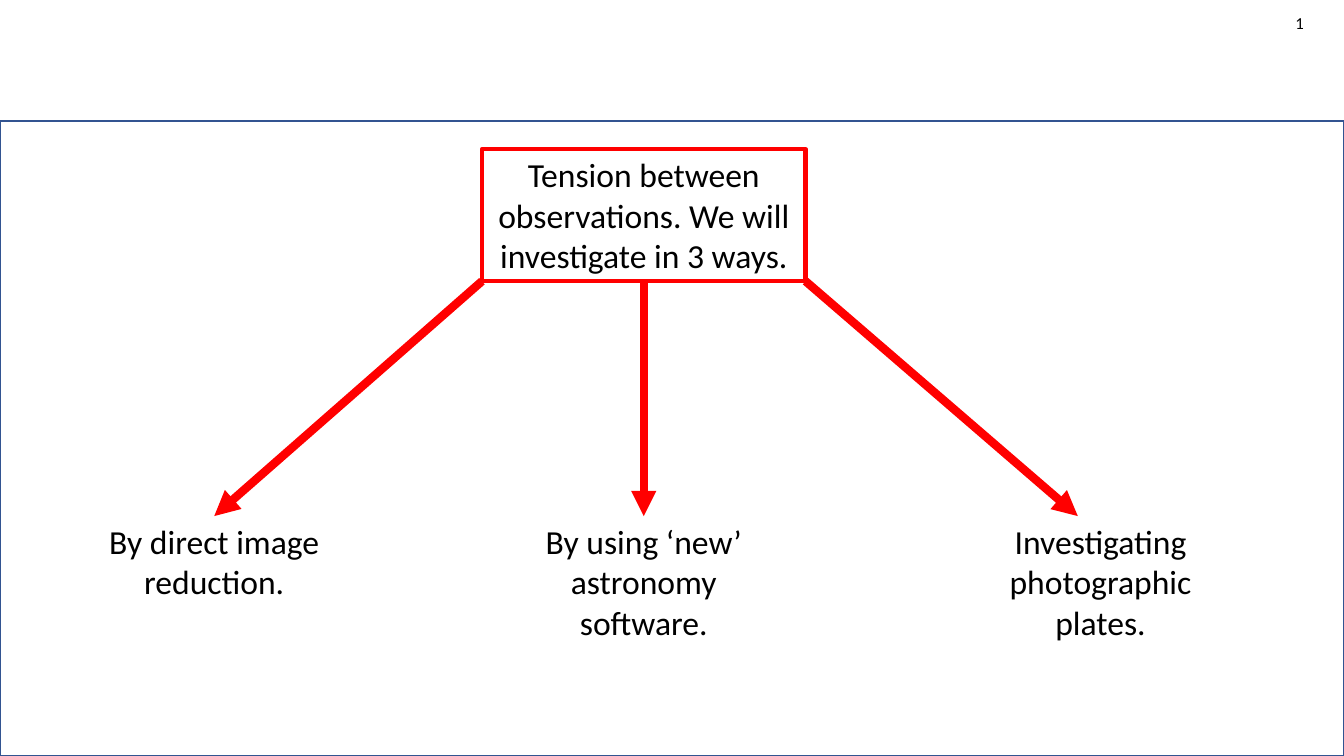
from dataclasses import dataclass

from lxml.etree import SubElement
from pptx import Presentation
from pptx.dml.color import RGBColor
from pptx.enum.shapes import MSO_CONNECTOR, MSO_SHAPE
from pptx.enum.text import MSO_ANCHOR, PP_ALIGN
from pptx.oxml.ns import qn
from pptx.util import Inches, Pt


@dataclass(frozen=True)
class Theme:
    font: str = "Calibri"
    body_size: int = 24
    number_size: int = 12
    text: RGBColor = RGBColor(0x00, 0x00, 0x00)
    paper: RGBColor = RGBColor(0xFF, 0xFF, 0xFF)
    frame: RGBColor = RGBColor(0x32, 0x54, 0x91)
    accent: RGBColor = RGBColor(0xFF, 0x00, 0x00)


THEME = Theme()
TOP, BOTTOM = 0, 2  # connection sites of a rectangle

# Each way of investigating: left edge, height and wording
WAYS = [
    (0.8, 0.91, "By direct image reduction."),
    (5.06, 1.31, "By using ‘new’ astronomy software."),
    (9.59, 1.31, "Investigating photographic plates."),
]
WAY_TOP, WAY_WIDTH = 5.12, 2.65


def write(box, text, size, align):
    frame = box.text_frame
    frame.word_wrap = True
    frame.vertical_anchor = MSO_ANCHOR.TOP
    frame.text = text
    para = frame.paragraphs[0]
    para.alignment = align
    for span in para.runs:
        span.font.name = THEME.font
        span.font.size = Pt(size)
        span.font.color.rgb = THEME.text


def add_text(page, left, top, width, height, text,
             size=THEME.body_size, align=PP_ALIGN.CENTER):
    box = page.shapes.add_textbox(
        Inches(left), Inches(top), Inches(width), Inches(height))
    write(box, text, size, align)
    return box


def add_rectangle(page, left, top, width, height, line, weight, fill=None):
    box = page.shapes.add_shape(
        MSO_SHAPE.RECTANGLE,
        Inches(left), Inches(top), Inches(width), Inches(height))
    box.shadow.inherit = False
    if fill is None:
        box.fill.background()
    else:
        box.fill.solid()
        box.fill.fore_color.rgb = fill
    box.line.color.rgb = line
    box.line.width = Pt(weight)
    return box


def add_arrow(page, start_x, start_y, end_x, end_y):
    arrow = page.shapes.add_connector(
        MSO_CONNECTOR.STRAIGHT, start_x, start_y, end_x, end_y)
    arrow.line.color.rgb = THEME.accent
    arrow.line.width = Pt(6)
    SubElement(arrow.line._get_or_add_ln(), qn("a:tailEnd"), type="triangle")
    SubElement(arrow._element.spPr, qn("a:effectLst"))
    return arrow


def main():
    deck = Presentation()
    deck.slide_width, deck.slide_height = Inches(13.33), Inches(7.5)
    page = deck.slides.add_slide(deck.slide_layouts[6])

    # Content panel and page number
    add_rectangle(page, 0, 1.2, 13.33, 6.3, THEME.frame, 1, THEME.paper)
    add_text(page, 12.75, 0.08, 0.59, 0.3, "1",
             THEME.number_size, PP_ALIGN.LEFT)

    # The question and the three ways to answer it
    question = add_rectangle(page, 4.78, 1.48, 3.21, 1.31, THEME.accent, 3)
    write(question, "Tension between observations. We will investigate in 3 ways.",
          THEME.body_size, PP_ALIGN.CENTER)
    direct, software, plates = [
        add_text(page, left, WAY_TOP, WAY_WIDTH, height, text)
        for left, height, text in WAYS]

    # Arrows from the corners and the middle of the question's lower edge
    lower = question.top + question.height
    right = question.left + question.width
    middle = question.left + question.width // 2
    to_direct = add_arrow(page, question.left, lower,
                          direct.left + direct.width // 2, direct.top)
    to_direct.end_connect(direct, TOP)
    to_software = add_arrow(page, middle, lower, middle, software.top)
    to_software.begin_connect(question, BOTTOM)
    to_software.end_connect(software, TOP)
    add_arrow(page, right, lower, Inches(10.69), plates.top)

    deck.save("out.pptx")


if __name__ == "__main__":
    main()
